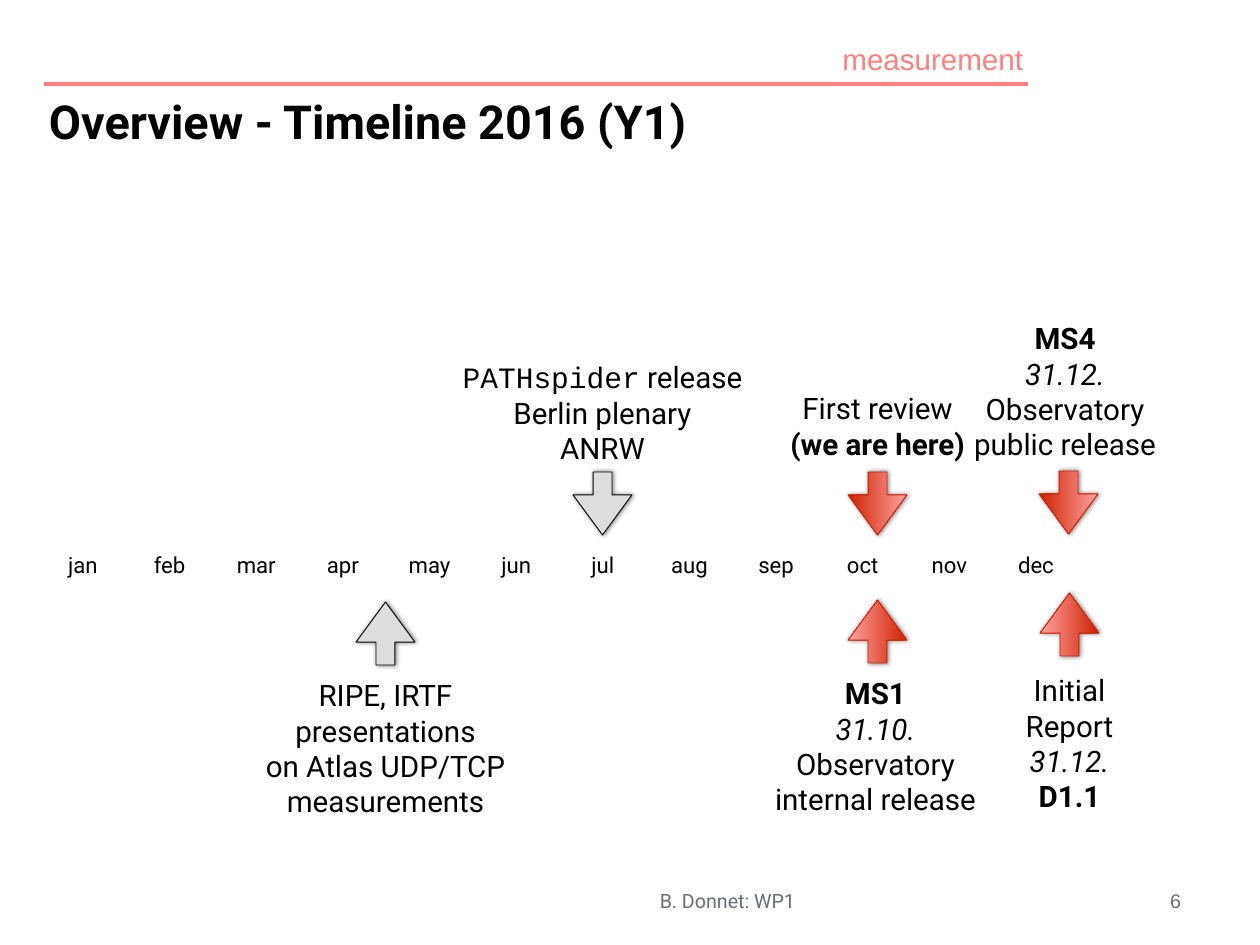
"""Build the 2016 (Y1) project timeline slide."""
import lxml.etree
import pptx
import pptx.dml.color
import pptx.enum.shapes
import pptx.enum.text
import pptx.oxml.ns
import pptx.util

ALIGN = pptx.enum.text.PP_ALIGN
ANCHOR = pptx.enum.text.MSO_ANCHOR
SHAPE = pptx.enum.shapes.MSO_SHAPE
PX = 914400 / 88.6
BLACK, GREY, SALMON = "000000", "686F76", "FF8080"

TITLE = "Overview - Timeline 2016 (Y1)"
MONTHS = "jan feb mar apr may jun jul aug sep oct nov dec".split()
FIRST_LEFT, LAST_LEFT, MONTH_TOP, MONTH_WIDTH, MONTH_HEIGHT = 44, 997, 543, 78, 43

# (box in px, lines as (text, style)); style is "", "bold" or "italic"
CALLOUTS = [
    ((453, 353, 299, 119), [("PATHspider release", ""), ("Berlin plenary", ""), ("ANRW", "")]),
    ((781, 385, 193, 81), [("First review", ""), ("(we are here)", "bold")]),
    ((964, 315, 202, 152), [("MS4", "bold"), ("31.12.", "italic"),
                            ("Observatory", ""), ("public release", "")]),
    ((254, 672, 263, 152), [("RIPE, IRTF", ""), ("presentations", ""),
                            ("on Atlas UDP/TCP", ""), ("measurements", "")]),
    ((766, 670, 219, 152), [("MS1", "bold"), ("31.10.", "italic"),
                            ("Observatory", ""), ("internal release", "")]),
    ((1015, 667, 109, 152), [("Initial", ""), ("Report", ""),
                             ("31.12.", "italic"), ("D1.1", "bold")]),
]
CODE_NAME = "PATHspider"
DOWN, UP = 90, 270
ARROW_WIDTH, ARROW_HEIGHT = 63, 59
ARROWS = [
    (571, 474, DOWN, "grey"), (846, 474, DOWN, "red"), (1037, 473, DOWN, "red"),
    (354, 604, UP, "grey"), (846, 602, UP, "red"), (1038, 595, UP, "red"),
]


def px(value):
    return round(value * PX)


def color(value):
    return pptx.dml.color.RGBColor.from_string(value)


def place(box):
    return [px(value) for value in box]


def write(shape, lines, size, text_color=BLACK, name="Roboto", align=ALIGN.CENTER,
          anchor=ANCHOR.MIDDLE, inset=5, wrap=False):
    frame = shape.text_frame
    frame.auto_size = pptx.enum.text.MSO_AUTO_SIZE.NONE
    frame.word_wrap = wrap
    frame.vertical_anchor = anchor
    frame.margin_left = frame.margin_right = px(inset)
    frame.margin_top = frame.margin_bottom = px(inset)
    for index, (text, style) in enumerate(lines):
        paragraph = frame.add_paragraph() if index else frame.paragraphs[0]
        paragraph.alignment = align
        font = paragraph.font
        font.name, font.size = name, pptx.util.Pt(size)
        font.bold, font.italic = style == "bold", style == "italic"
        font.color.rgb = color(text_color)
        if text.startswith(CODE_NAME):
            run = paragraph.add_run()
            run.text = CODE_NAME
            run.font.name = "Courier New"
            text = text.removeprefix(CODE_NAME)
        paragraph.add_run().text = text


def add_text(slide, box, lines, size, **options):
    write(slide.shapes.add_textbox(*place(box)), lines, size, **options)


def add_block(slide, box, fill):
    shape = slide.shapes.add_shape(SHAPE.RECTANGLE, *place(box))
    shape.shadow.inherit = False
    shape.fill.solid()
    shape.fill.fore_color.rgb = color(fill)
    shape.line.fill.background()
    return shape


def add_arrow(slide, left, top, rotation, tone):
    shape = slide.shapes.add_shape(
        SHAPE.RIGHT_ARROW, *place((left, top, ARROW_WIDTH, ARROW_HEIGHT)))
    shape.rotation = rotation
    shape.adjustments[0], shape.adjustments[1] = 0.32, 0.68
    if tone == "red":
        shape.fill.gradient()
        shape.fill.gradient_angle = 90
        for stop, stop_color in zip(shape.fill.gradient_stops, ("CE2100", "FFA3A1")):
            stop.color.rgb = color(stop_color)
    else:
        shape.fill.solid()
        shape.fill.fore_color.rgb = color("DDDDDD")
    shape.line.color.rgb = color("C82101" if tone == "red" else BLACK)
    shape.line.width = pptx.util.Pt(0.75)
    shape.shadow.inherit = False
    qn = pptx.oxml.ns.qn
    effects = shape.element.spPr.find(qn("a:effectLst"))
    shadow = lxml.etree.SubElement(effects, qn("a:outerShdw"), blurRad="50800",
                                   dist="12700", dir="0", rotWithShape="0")
    shade = lxml.etree.SubElement(shadow, qn("a:srgbClr"), val=BLACK)
    lxml.etree.SubElement(shade, qn("a:alpha"), val="50000")


def main():
    presentation = pptx.Presentation()
    presentation.slide_width, presentation.slide_height = px(1260), px(945)
    slide = presentation.slides.add_slide(presentation.slide_layouts[5])

    add_block(slide, (44, 82, 984, 4), SALMON)
    add_text(slide, (837, 36, 191, 45), [("measurement", "")], 24,
             text_color=SALMON, name="Arial", align=ALIGN.RIGHT)
    title = slide.shapes.title
    title.left, title.top, title.width, title.height = place((44, 88, 960, 134))
    write(title, [(TITLE, "bold")], 38, align=ALIGN.LEFT, anchor=ANCHOR.TOP, wrap=True)

    pitch = (LAST_LEFT - FIRST_LEFT) / (len(MONTHS) - 1)
    for index, month in enumerate(MONTHS):
        box = (FIRST_LEFT + index * pitch, MONTH_TOP, MONTH_WIDTH, MONTH_HEIGHT)
        write(add_block(slide, box, "FFFFFF"), [(month, "")], 18, inset=4, wrap=True)
    for arrow in ARROWS:
        add_arrow(slide, *arrow)
    for box, lines in CALLOUTS:
        add_text(slide, box, lines, 24)

    add_text(slide, (337, 886, 781, 30), [("B. Donnet: WP1", "")], 16,
             text_color=GREY, inset=4, wrap=True)
    add_text(slide, (1165, 886, 21, 30), [("6", "")], 16,
             text_color=GREY, name="Arial", inset=4)
    presentation.save("out.pptx")


if __name__ == "__main__":
    main()
